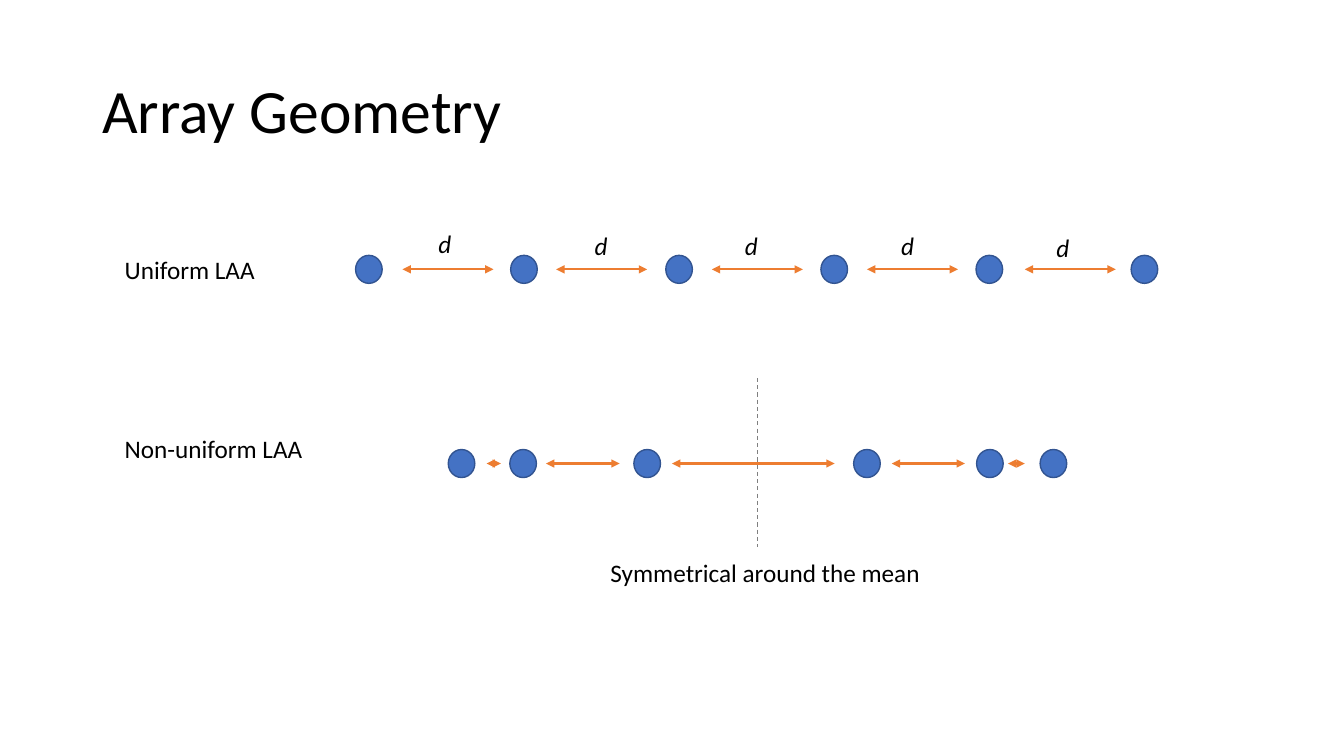
from lxml import etree
from pptx import Presentation
from pptx.dml.color import RGBColor
from pptx.enum.dml import MSO_LINE
from pptx.enum.shapes import MSO_CONNECTOR, MSO_SHAPE
from pptx.enum.text import MSO_ANCHOR
from pptx.oxml.ns import qn
from pptx.util import Pt

DASH = MSO_LINE.DASH
STRAIGHT = MSO_CONNECTOR.STRAIGHT
NODE = MSO_SHAPE.FLOWCHART_CONNECTOR
TOP, MIDDLE = MSO_ANCHOR.TOP, MSO_ANCHOR.MIDDLE

COLORS = {"text": "000000", "node": "4472C4", "edge": "325491",
          "arrow": "ED7D31", "axis": "7F7F7F"}
FONT = "Calibri"
TITLE = ("Array Geometry", 66, 28.8, 828, 104.4)
LABELS = [
    ("Uniform LAA", 82, 178, 215, 29),
    ("Non-uniform LAA", 82, 306, 176, 29),
    ("Symmetrical around the mean", 429, 394.7, 297, 29),
]
SPACINGS = [(306, 159.2), (417.6, 161.2), (525, 161.2), (636.5, 161.2), (747.5, 162.2)]
NODE_W, NODE_H = 19, 20
UNIFORM_LEFT, UNIFORM_PITCH, UNIFORM_COUNT = 254, 110.8, 6
UNIFORM_Y, UNEVEN_Y = 192.4, 331.1
UNIFORM_ARROWS = [287.5, 397.3, 508.5, 619.3, 732]
ARROW_LENGTH = 65
UNEVEN_NODES = [320.2, 364.2, 452.8, 609.8, 697.6, 743]
UNEVEN_ARROWS = [(347.6, 357.8), (390, 442.6), (480, 596.2), (637, 689.2), (720, 732)]
AXIS_X, AXIS_TOP, AXIS_BOTTOM = 541, 270, 391


def rgb(name):
    return RGBColor.from_string(COLORS[name])


def add_text(s, text, x, y, w, h, size=18, anchor=TOP, italic=False, spacing=1.0):
    tf = s.shapes.add_textbox(Pt(x), Pt(y), Pt(w), Pt(h)).text_frame
    tf.word_wrap = True
    tf.vertical_anchor = anchor
    p = tf.paragraphs[0]
    p.line_spacing = spacing
    r = p.add_run()
    r.text = text
    r.font.name, r.font.size, r.font.italic = FONT, Pt(size), italic
    r.font.color.rgb = rgb("text")


def add_node(s, x, center_y):
    sp = s.shapes.add_shape(NODE, Pt(x), Pt(center_y - NODE_H / 2), Pt(NODE_W), Pt(NODE_H))
    sp.shadow.inherit = False
    sp.fill.solid()
    sp.fill.fore_color.rgb = rgb("node")
    sp.line.color.rgb = rgb("edge")
    sp.line.width = Pt(1)


def add_line(s, x1, y1, x2, y2, color, width):
    cx = s.shapes.add_connector(STRAIGHT, Pt(x1), Pt(y1), Pt(x2), Pt(y2))
    cx.line.color.rgb = rgb(color)
    cx.line.width = Pt(width)
    etree.SubElement(cx._element.spPr, qn("a:effectLst"))
    return cx


def add_arrow(s, x1, x2, y):
    cx = add_line(s, x1, y, x2, y, "arrow", 1.5)
    ln = cx.line._get_or_add_ln()
    for end in ("a:headEnd", "a:tailEnd"):
        etree.SubElement(ln, qn(end), type="triangle")


def main():
    """Build the array geometry slide."""
    prs = Presentation()
    prs.slide_width, prs.slide_height = Pt(960), Pt(540)
    s = prs.slides.add_slide(prs.slide_layouts[6])

    add_text(s, *TITLE, size=44, anchor=MIDDLE, spacing=0.9)
    for label in LABELS:
        add_text(s, *label)

    uniform_nodes = [UNIFORM_LEFT + i * UNIFORM_PITCH for i in range(UNIFORM_COUNT)]
    uniform_arrows = [(x, x + ARROW_LENGTH) for x in UNIFORM_ARROWS]
    axis = add_line(s, AXIS_X, AXIS_TOP, AXIS_X, AXIS_BOTTOM, "axis", 0.75)
    axis.line.dash_style = DASH
    for y, nodes, arrows in ((UNIFORM_Y, uniform_nodes, uniform_arrows),
                             (UNEVEN_Y, UNEVEN_NODES, UNEVEN_ARROWS)):
        for x in nodes:
            add_node(s, x, y)
        for x1, x2 in arrows:
            add_arrow(s, x1, x2, y)

    for x, y in SPACINGS:
        add_text(s, "d", x, y, 37, 29, italic=True)
    prs.save("out.pptx")


if __name__ == "__main__":
    main()
